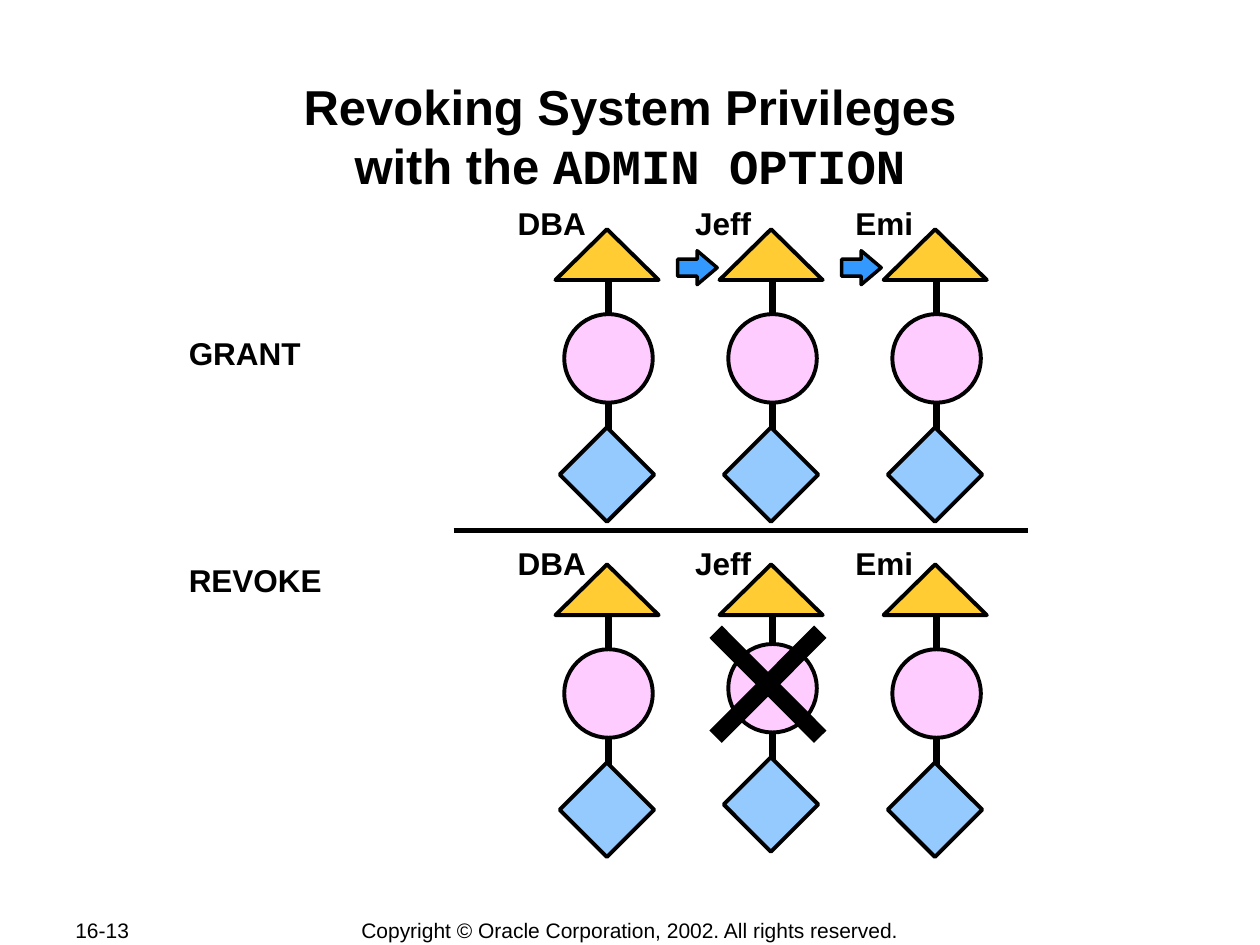
from lxml import etree
from pptx import Presentation
from pptx.dml.color import RGBColor
from pptx.enum.shapes import MSO_CONNECTOR, MSO_SHAPE
from pptx.enum.text import MSO_ANCHOR, PP_ALIGN
from pptx.oxml.ns import qn
from pptx.util import Pt

STRAIGHT = MSO_CONNECTOR.STRAIGHT
TRIANGLE, CIRCLE = MSO_SHAPE.ISOSCELES_TRIANGLE, MSO_SHAPE.OVAL
DIAMOND, ARROW = MSO_SHAPE.DIAMOND, MSO_SHAPE.RIGHT_ARROW
LEFT, CENTER = PP_ALIGN.LEFT, PP_ALIGN.CENTER
TOP, MIDDLE, BOTTOM = MSO_ANCHOR.TOP, MSO_ANCHOR.MIDDLE, MSO_ANCHOR.BOTTOM

BLACK, GOLD, PINK = "000000", "FFCC33", "FFCCFF"
SKY, BLUE = "95CAFF", "3399FF"

TITLE_LINES = [
    [("Revoking System Privileges", "Arial")],
    [("with the ", "Arial"), ("ADMIN OPTION", "Courier New")],
]
USERS = [("DBA", 288.7, 56), ("Jeff", 390.2, 47.5), ("Emi", 481.7, 49)]
ROWS = [
    {"name": "GRANT", "name_top": 187.2, "label_top": 113, "top": 131, "revoked": None},
    {"name": "REVOKE", "name_top": 316.8, "label_top": 307.4, "top": 322.5, "revoked": "Jeff"},
]
FOOTERS = [
    ("16-13", (36, 524.2, 76.3, 14.4), LEFT),
    ("Copyright © Oracle Corporation, 2002. All rights reserved.",
     (198, 524.2, 324, 15.1), CENTER),
]
FIRST_LEFT, PITCH = 317.4, 93.75
REVOKED_SHIFT = -3


def colour(value):
    return RGBColor.from_string(value)


def add_span(para, text, size=18, font="Arial", bold=True):
    span = para.add_run()
    span.text = text
    span.font.name, span.font.size, span.font.bold = font, Pt(size), bold
    span.font.color.rgb = colour(BLACK)


def add_text(page, text, place, align=LEFT, anchor=TOP, **span_format):
    box = page.shapes.add_textbox(*map(Pt, place))
    frame = box.text_frame
    frame.word_wrap = True
    frame.vertical_anchor = anchor
    para = frame.paragraphs[0]
    para.alignment = align
    add_span(para, text, **span_format)


def add_line(page, start, end, width):
    line = page.shapes.add_connector(STRAIGHT, *map(Pt, start + end))
    line.line.color.rgb = colour(BLACK)
    line.line.width = Pt(width)
    etree.SubElement(line._element.spPr, qn("a:effectLst"))


def add_figure_part(page, kind, place, fill, width=2.25):
    shape = page.shapes.add_shape(kind, *map(Pt, place))
    shape.shadow.inherit = False
    shape.fill.solid()
    shape.fill.fore_color.rgb = colour(fill)
    shape.line.color.rgb = colour(BLACK)
    shape.line.width = Pt(width)
    return shape


def add_figure(page, left, top, revoked):
    body_top = top + (REVOKED_SHIFT if revoked else 0)
    stem = left + 30.5
    add_line(page, (stem, body_top + 13.7), (stem, body_top + 131.8), 4)
    add_figure_part(page, CIRCLE, (left + 5, body_top + 48.5, 50.6, 50.6), PINK)
    add_figure_part(page, DIAMOND, (left + 2.4, body_top + 113.2, 54, 54), SKY)
    if revoked:
        near, far = left - 2.2, left + 57.6
        high, low = top + 38.5, top + 98.5
        add_line(page, (near, high), (far, low), 10)
        add_line(page, (far, high), (near, low), 10)
    add_figure_part(page, TRIANGLE, (left, top, 59, 29), GOLD)


def add_title(page):
    title = page.shapes.title
    title.left, title.top, title.width, title.height = map(Pt, (72, 41.8, 576, 69.1))
    frame = title.text_frame
    frame.vertical_anchor = BOTTOM
    frame.margin_left = frame.margin_right = Pt(0.7)
    frame.margin_top = frame.margin_bottom = Pt(0)
    para = frame.paragraphs[0]
    para.alignment = CENTER
    para.space_before = Pt(0)
    for index, line in enumerate(TITLE_LINES):
        if index:
            para.add_line_break()
        for text, font in line:
            add_span(para, text, size=28, font=font)


def main():
    deck = Presentation()
    deck.slide_width, deck.slide_height = Pt(720), Pt(540)
    page = deck.slides.add_slide(deck.slide_layouts[5])
    add_title(page)
    for text, place, align in FOOTERS:
        add_text(page, text, place, align=align, anchor=MIDDLE, size=12, bold=False)
    for row in ROWS:
        add_text(page, row["name"], (100.8, row["name_top"], 94, 29))
        for index, (user, label_left, label_width) in enumerate(USERS):
            left = FIRST_LEFT + index * PITCH
            add_figure(page, left, row["top"], user == row["revoked"])
            add_text(page, user, (label_left, row["label_top"], label_width, 29))
    for index in range(len(USERS) - 1):
        place = (387.2 + index * PITCH, 143.3, 22.6, 19.4)
        arrow = add_figure_part(page, ARROW, place, BLUE, width=2)
        arrow.adjustments[1] = 0.59
    add_line(page, (259.2, 303.1), (587.5, 303.1), 3)
    deck.save("out.pptx")


if __name__ == "__main__":
    main()
